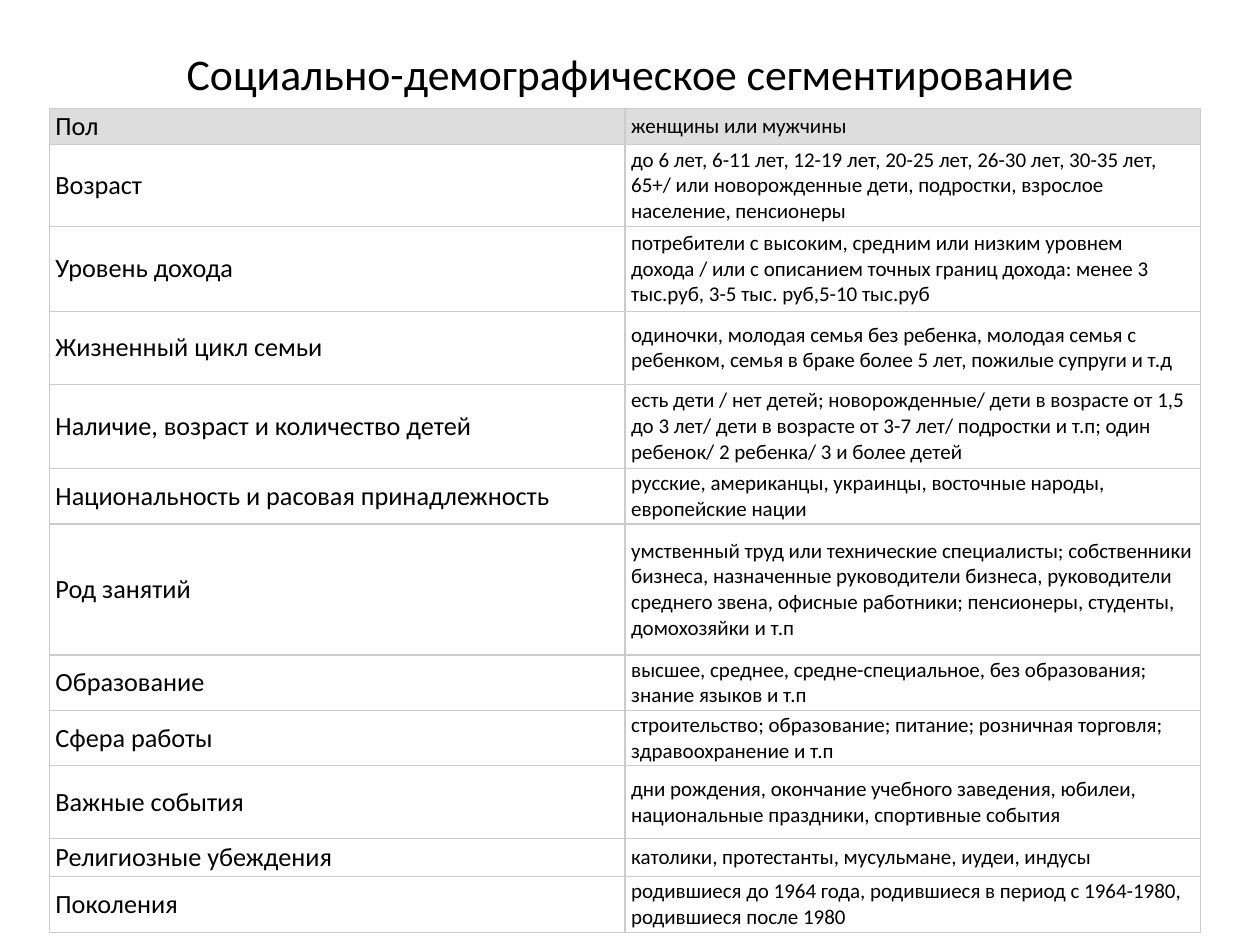
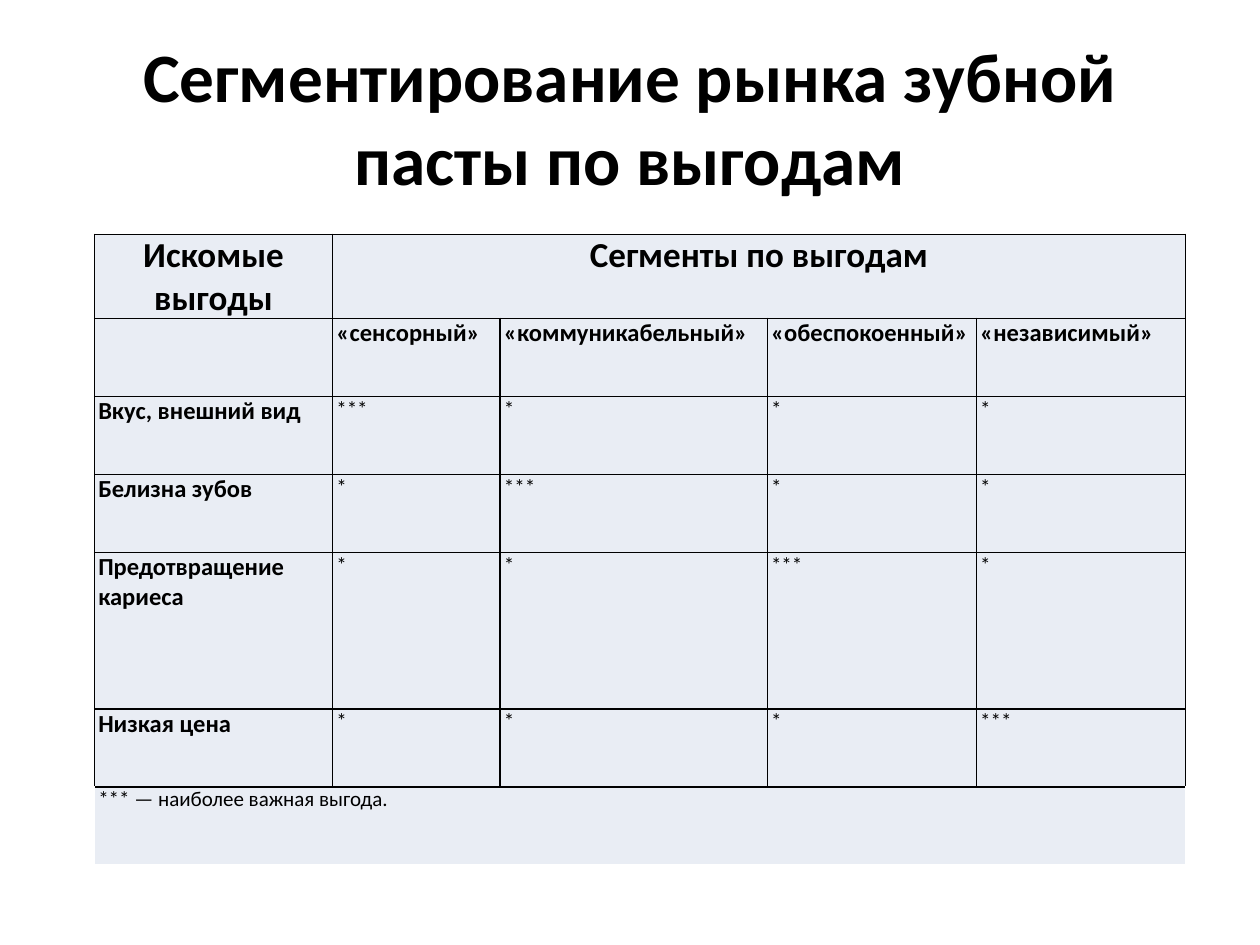
from dataclasses import dataclass

from lxml.etree import SubElement as Sub
from pptx import Presentation
from pptx.dml.color import RGBColor as Rgb
from pptx.enum.text import MSO_ANCHOR as Anchor, PP_ALIGN as Align
from pptx.oxml.ns import qn
from pptx.util import Inches, Pt


@dataclass(frozen=True)
class Theme:
    font: str = "Calibri"
    ink: str = "000000"
    paper: str = "FFFFFF"
    rule: str = "CCCCCC"
    head: str = "DDDDDD"
    tint: str = "E9EDF4"
    trait: float = 15
    note: float = 12
    group: float = 20
    label: float = 14


T = Theme()

TRAITS = [  # row height, trait, examples
    (0.29, "Пол", "женщины или мужчины"),
    (0.65, "Возраст", "до 6 лет, 6-11 лет, 12-19 лет, 20-25 лет, 26-30 лет, 30-35 лет, 65+/ "
     "или новорожденные дети, подростки, взрослое население, пенсионеры"),
    (0.67, "Уровень дохода", "потребители с высоким, средним или низким уровнем дохода / "
     "или с описанием точных границ дохода: менее 3 тыс.руб, 3-5 тыс. руб,5-10 тыс.руб"),
    (0.58, "Жизненный цикл семьи", "одиночки, молодая семья без ребенка, молодая семья "
     "с ребенком, семья в браке более 5 лет, пожилые супруги и т.д"),
    (0.67, "Наличие, возраст и количество детей", "есть дети / нет детей; новорожденные/ "
     "дети в возрасте от 1,5 до 3 лет/ дети в возрасте от 3-7 лет/ подростки и т.п; "
     "один ребенок/ 2 ребенка/ 3 и более детей"),
    (0.44, "Национальность и расовая принадлежность",
     "русские, американцы, украинцы, восточные народы, европейские нации"),
    (1.04, "Род занятий", "умственный труд или технические специалисты; собственники бизнеса, "
     "назначенные руководители бизнеса, руководители среднего звена, офисные работники; "
     "пенсионеры, студенты, домохозяйки и т.п"),
    (0.44, "Образование", "высшее, среднее, средне-специальное, без образования; "
     "знание языков и т.п"),
    (0.44, "Сфера работы", "строительство; образование; питание; розничная торговля; "
     "здравоохранение и т.п"),
    (0.58, "Важные события", "дни рождения, окончание учебного заведения, юбилеи, "
     "национальные праздники, спортивные события"),
    (0.3, "Религиозные убеждения", "католики, протестанты, мусульмане, иудеи, индусы"),
    (0.44, "Поколения", "родившиеся до 1964 года, родившиеся в период с 1964-1980, "
     "родившиеся после 1980"),
]
GROUPS = ["«сенсорный»", "«коммуникабельный»", "«обеспокоенный»", "«независимый»"]
GAINS = ["Вкус, внешний вид", "Белизна зубов", "Предотвращение кариеса", "Низкая цена"]


def put(item, **form):
    for name, value in form.items():
        setattr(item, name, value)


def write(frame, text, size, bold=False, align=Align.LEFT):
    para = frame.paragraphs[0]
    para.alignment = align
    run = para.add_run()
    run.text = text
    put(run.font, name=T.font, size=Pt(size), bold=bold)
    run.font.color.rgb = Rgb.from_string(T.ink)


def title(slide, box, text, size, bold=False):
    frame = slide.shapes.add_textbox(*map(Inches, box)).text_frame
    put(frame, word_wrap=True, vertical_anchor=Anchor.MIDDLE)
    write(frame, text, size, bold, Align.CENTER)


def border(cell, width, left, right, top, base):
    props = cell._tc.get_or_add_tcPr()
    for side, color in zip("LRTB", (left, right, top, base)):
        line = Sub(props, qn(f"a:ln{side}"), w=str(Pt(width)))
        Sub(Sub(line, qn("a:solidFill")), qn("a:srgbClr"), val=color)


def style(cell, fill, pads, anchor):
    if fill:
        cell.fill.solid()
        cell.fill.fore_color.rgb = Rgb.from_string(fill)
    else:
        cell.fill.background()
    sides = ("margin_left", "margin_top", "margin_right", "margin_bottom")
    put(cell, vertical_anchor=anchor, **dict(zip(sides, map(Inches, pads))))


def grid(slide, left, top, cols, rows):
    box = map(Inches, (left, top, sum(cols), sum(rows)))
    table = slide.shapes.add_table(len(rows), len(cols), *box).table
    put(table, first_row=False, horz_banding=False)
    for col, width in zip(table.columns, cols):
        col.width = Inches(width)
    for row, height in zip(table.rows, rows):
        row.height = Inches(height)
    return table


def traits(slide, left, top, width):
    """Two equal columns: trait and its examples."""
    table = grid(slide, left, top, [width / 2] * 2, [row[0] for row in TRAITS])
    for r, (_, *texts) in enumerate(TRAITS):
        for c, (text, size) in enumerate(zip(texts, (T.trait, T.note))):
            cell = table.cell(r, c)
            border(cell, 0.75, *[T.rule] * 4)
            style(cell, None if r else T.head, (0.05, 0.01, 0.01, 0.01), Anchor.MIDDLE)
            write(cell.text_frame, text, size)


def gains(slide, left, top):
    """Benefits against segments; each segment's main benefit lies on the diagonal."""
    cols = [1.89, 1.33, 2.12, 1.66, 1.66]
    rows = [0.62] * 4 + [1.24] + [0.62] * 2
    table = grid(slide, left, top, cols, rows)
    last = len(rows) - 1
    for r in range(len(rows)):
        for c in range(len(cols)):
            cell = table.cell(r, c)
            edge = T.paper if r == last else T.ink
            border(cell, 1, edge, edge, T.ink, edge)
            style(cell, T.tint, (0.03, 0, 0.03, 0), Anchor.TOP)

    def fill(r, c, text, size, bold=True, align=Align.JUSTIFY):
        write(table.cell(r, c).text_frame, text, size, bold, align)

    # Heads
    table.cell(0, 1).merge(table.cell(0, 4))
    for c, text in enumerate(["Искомые выгоды", "Сегменты по выгодам"]):
        fill(0, c, text, T.group, align=Align.CENTER)
    for c, text in enumerate(GROUPS, 1):
        fill(1, c, text, T.label)

    # Ratings
    for r, gain in enumerate(GAINS):
        fill(r + 2, 0, gain, T.label)
        for c in range(len(GROUPS)):
            fill(r + 2, c + 1, "***" if r == c else "*", T.note, False)

    # Key
    table.cell(last, 0).merge(table.cell(last, 4))
    fill(last, 0, "*** — наиболее важная выгода.", T.note, False)


def main():
    deck = Presentation()
    put(deck, slide_width=Inches(10), slide_height=Inches(7.5))
    blank = deck.slide_layouts[6]

    # Social and demographic traits
    slide = deck.slides.add_slide(blank)
    title(slide, (0.5, 0.3, 9, 0.56), "Социально-демографическое сегментирование", 25)
    traits(slide, 0.39, 0.86, 9.14)

    # Toothpaste benefits
    slide = deck.slides.add_slide(blank)
    title(slide, (0.5, 0.3, 9, 1.25), "Сегментирование рынка зубной пасты по выгодам", 39.6, True)
    gains(slide, 0.75, 1.86)

    deck.save("out.pptx")


if __name__ == "__main__":
    main()
